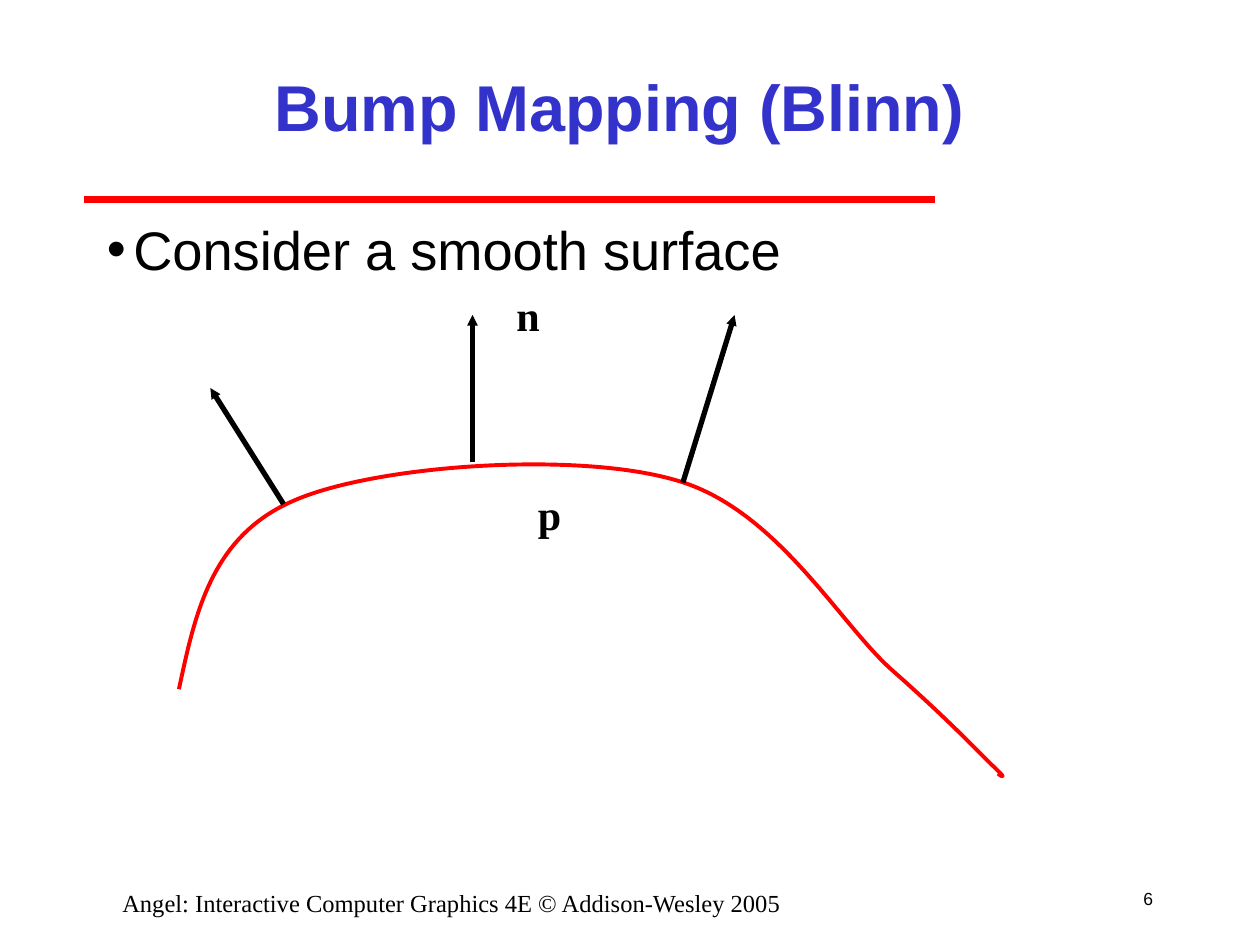
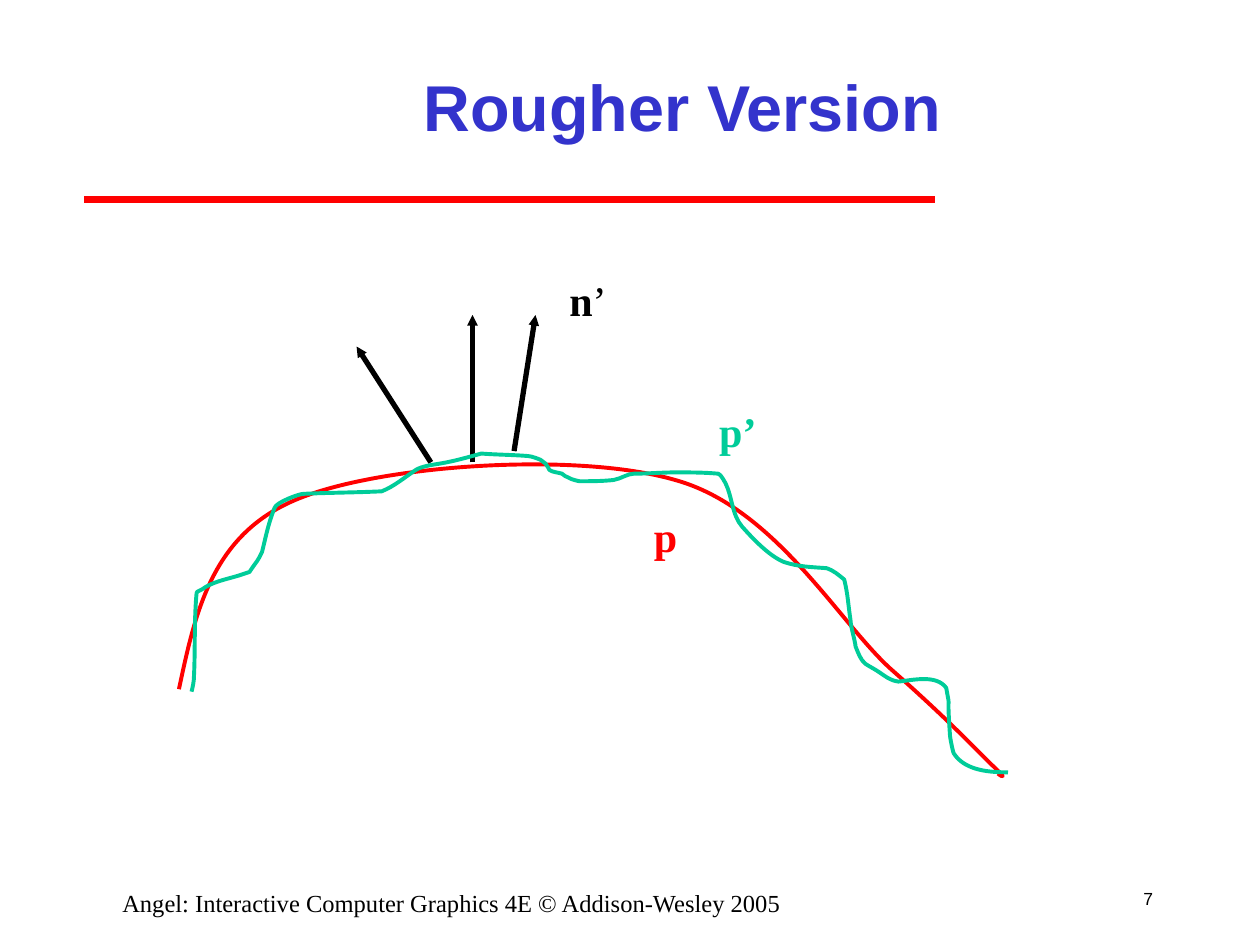
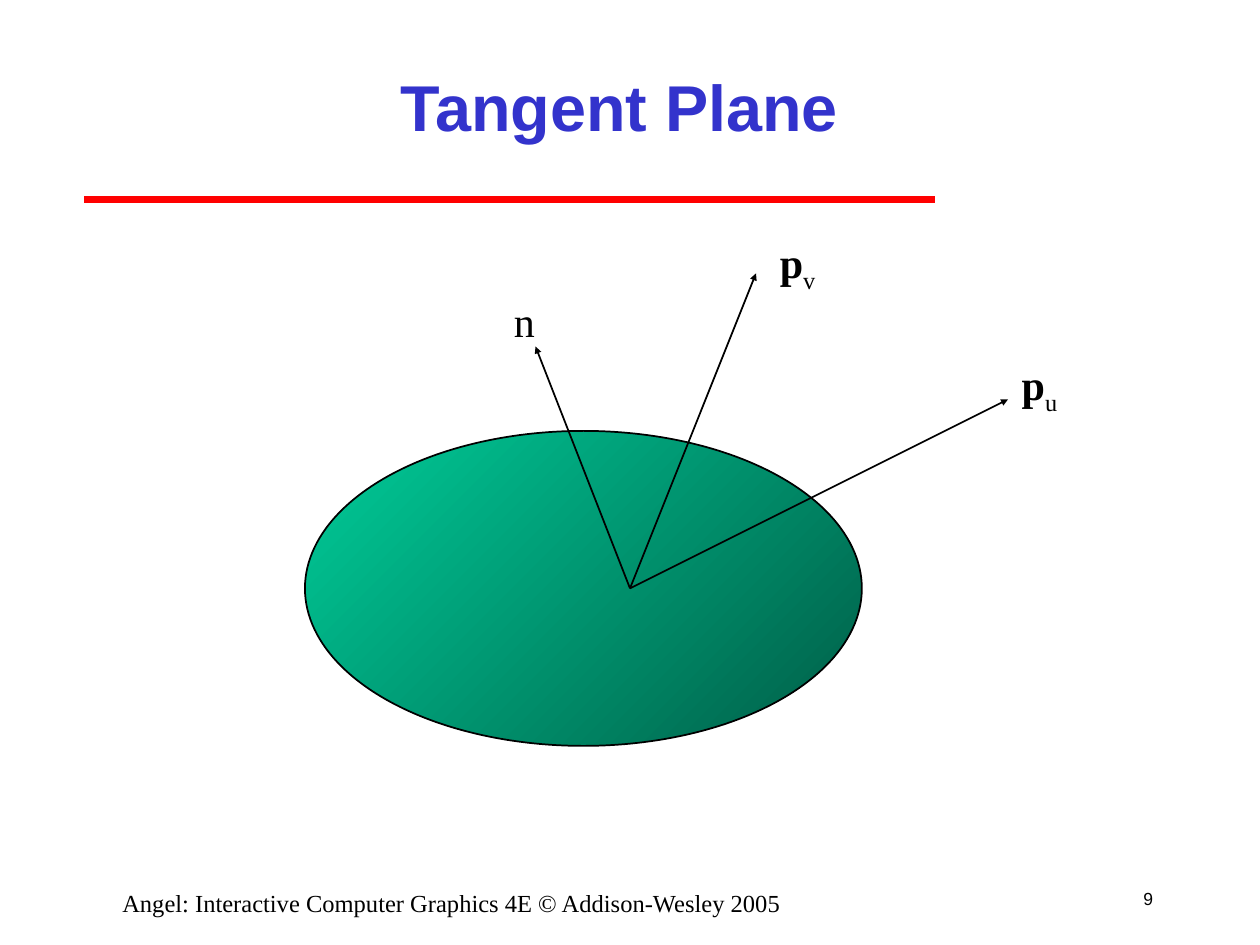
from dataclasses import dataclass

from lxml.etree import SubElement
from pptx import Presentation
from pptx.dml.color import RGBColor
from pptx.enum.shapes import MSO_CONNECTOR as Connector, MSO_SHAPE as Preset
from pptx.enum.text import MSO_ANCHOR as Anchor, MSO_AUTO_SIZE as AutoSize, PP_ALIGN as Align
from pptx.oxml.ns import qn
from pptx.util import Inches, Pt


@dataclass(frozen=True)
class Theme:
    black: str = "000000"
    blue: str = "3333CC"
    red: str = "FF0000"
    green: str = "00CC99"
    dark_green: str = "005E47"
    sans: str = "Arial"
    serif: str = "Times New Roman"
    title_size: float = 37
    body_size: float = 31
    label_size: float = 24
    footer_size: float = 14
    number_size: float = 10
    rule_width: float = 4
    normal_width: float = 3
    curve_width: float = 2.25
    thin_width: float = 1


THEME = Theme()
FOOTER = "Angel: Interactive Computer Graphics 4E © Addison-Wesley 2005"

# Curves: a start point, then three points (two controls, one end) per segment
SMOOTH_SURFACE = [
    (1.42, 5.47),
    (1.55, 4.86), (1.68, 4.25), (2.34, 3.97),
    (2.99, 3.69), (4.57, 3.58), (5.36, 3.81),
    (6.15, 4.03), (6.65, 4.93), (7.07, 5.31),
    (7.49, 5.68), (7.72, 5.92), (7.86, 6.06),
    (8, 6.19), (7.96, 6.17), (7.92, 6.14),
]
ROUGH_SURFACE = [
    (1.52, 5.49),
    (1.53, 5.45), (1.54, 5.41), (1.54, 5.36),
    (1.55, 5.15), (1.54, 4.93), (1.56, 4.71),
    (1.56, 4.69), (1.59, 4.69), (1.6, 4.68),
    (1.68, 4.62), (1.79, 4.6), (1.89, 4.57),
    (1.92, 4.56), (1.98, 4.54), (1.98, 4.54),
    (2.06, 4.42), (2.03, 4.48), (2.08, 4.38),
    (2.11, 4.26), (2.13, 4.15), (2.18, 4.03),
    (2.19, 3.99), (2.37, 3.92), (2.41, 3.92),
    (2.62, 3.91), (2.82, 3.91), (3.03, 3.9),
    (3.13, 3.86), (3.21, 3.79), (3.3, 3.73),
    (3.35, 3.7), (3.43, 3.69), (3.49, 3.68),
    (3.61, 3.66), (3.71, 3.63), (3.82, 3.6),
    (3.95, 3.61), (4.07, 3.61), (4.19, 3.62),
    (4.22, 3.62), (4.29, 3.65), (4.29, 3.65),
    (4.3, 3.66), (4.32, 3.67), (4.33, 3.68),
    (4.35, 3.7), (4.35, 3.72), (4.36, 3.73),
    (4.39, 3.75), (4.43, 3.75), (4.46, 3.76),
    (4.48, 3.77), (4.49, 3.79), (4.51, 3.79),
    (4.54, 3.81), (4.6, 3.82), (4.6, 3.82),
    (4.69, 3.82), (4.78, 3.82), (4.87, 3.81),
    (4.93, 3.8), (4.98, 3.76), (5.03, 3.76),
    (5.14, 3.76), (5.25, 3.75), (5.36, 3.75),
    (5.48, 3.75), (5.59, 3.75), (5.7, 3.76),
    (5.72, 3.76), (5.76, 3.84), (5.76, 3.84),
    (5.81, 3.94), (5.81, 4.09), (5.89, 4.18),
    (5.97, 4.27), (6.1, 4.41), (6.22, 4.46),
    (6.34, 4.5), (6.43, 4.5), (6.56, 4.51),
    (6.62, 4.53), (6.65, 4.56), (6.7, 4.6),
    (6.73, 4.72), (6.73, 4.79), (6.75, 4.92),
    (6.75, 4.97), (6.79, 5.1), (6.79, 5.13),
    (6.81, 5.18), (6.83, 5.24), (6.87, 5.27),
    (6.9, 5.29), (6.94, 5.31), (6.97, 5.33),
    (7.03, 5.37), (7.06, 5.4), (7.13, 5.41),
    (7.24, 5.4), (7.43, 5.35), (7.51, 5.46),
    (7.55, 5.69), (7.51, 5.41), (7.54, 5.84),
    (7.54, 5.85), (7.56, 5.96), (7.57, 5.98),
    (7.66, 6.12), (7.86, 6.13), (8, 6.13),
]


def rgb(color):
    return RGBColor.from_string(color)


# Text
def add_span(para, text, *, size, font, color=THEME.black, bold=False, baseline=None):
    span = para.add_run()
    span.text = text
    span.font.size = Pt(size)
    span.font.name = font
    span.font.bold = bold
    span.font.color.rgb = rgb(color)
    if baseline is not None:
        span.font._element.set("baseline", str(baseline * 1000))


def add_text(page, text, place, *, align=Align.LEFT, anchor=Anchor.TOP, wrap=True,
             indent=0, bullet=None, **style):
    box = page.shapes.add_textbox(*map(Inches, place))
    frame = box.text_frame
    frame.word_wrap = wrap
    frame.auto_size = AutoSize.NONE if wrap else AutoSize.SHAPE_TO_FIT_TEXT
    frame.vertical_anchor = anchor
    para = frame.paragraphs[0]
    para.alignment = align
    if indent:
        para._p.get_or_add_pPr().set("marL", str(Inches(indent)))
    if bullet:
        properties = para._p.get_or_add_pPr()
        properties.set("indent", str(-Inches(indent)))
        SubElement(properties, qn("a:buFont"), typeface=THEME.sans)
        SubElement(properties, qn("a:buChar"), char=bullet)
    add_span(para, text, **style)
    return para


def add_label(page, text, place, *, suffix="", baseline=None, bold=True, color=THEME.black):
    style = dict(size=THEME.label_size, font=THEME.serif, color=color)
    para = add_text(page, text, place, wrap=False, bold=bold, **style)
    if suffix:
        add_span(para, suffix, baseline=baseline, **style)


# Lines and shapes
def add_line(page, start, end, *, color=THEME.black, width=THEME.normal_width, arrow=False):
    line = page.shapes.add_connector(Connector.STRAIGHT, *map(Inches, (*start, *end)))
    line.line.color.rgb = rgb(color)
    line.line.width = Pt(width)
    if arrow:
        SubElement(line.line._get_or_add_ln(), qn("a:tailEnd"),
                   type="triangle", w="sm", len="sm")
    SubElement(line._element.spPr, qn("a:effectLst"))


def add_arrows(page, arrows, **style):
    for start, end in arrows:
        add_line(page, start, end, arrow=True, **style)


def add_curve(page, points, color):
    start, *others = [(Inches(x), Inches(y)) for x, y in points]
    builder = page.shapes.build_freeform(*start)
    builder.add_line_segments(others, close=False)
    curve = builder.convert_to_shape()
    # Merge each three straight steps into one cubic segment
    outline = next(curve._element.iter(qn("a:path")))
    steps = outline.findall(qn("a:lnTo"))
    for first in range(0, len(steps), 3):
        segment = SubElement(outline, qn("a:cubicBezTo"))
        for step in steps[first:first + 3]:
            segment.append(step[0])
            outline.remove(step)
    curve.fill.background()
    curve.line.color.rgb = rgb(color)
    curve.line.width = Pt(THEME.curve_width)
    curve.shadow.inherit = False


def add_plane(page, place):
    plane = page.shapes.add_shape(Preset.OVAL, *map(Inches, place))
    plane.shadow.inherit = False
    plane.fill.gradient()
    plane.fill.gradient_angle = 315
    for stop, color in zip(plane.fill.gradient_stops, (THEME.green, THEME.dark_green)):
        stop.color.rgb = rgb(color)
    plane.line.color.rgb = rgb(THEME.black)
    plane.line.width = Pt(THEME.thin_width)


# Parts shared by all slides
def add_page(deck, title, number, title_indent=0):
    page = deck.slides.add_slide(deck.slide_layouts[6])
    add_line(page, (0.67, 1.58), (7.42, 1.58), color=THEME.red, width=THEME.rule_width)
    add_text(page, str(number), (8.83, 6.92, 0.42, 0.42), align=Align.RIGHT,
             anchor=Anchor.MIDDLE, size=THEME.number_size, font=THEME.sans)
    add_text(page, FOOTER, (0.5, 7, 6.17, 0.25), align=Align.CENTER,
             size=THEME.footer_size, font=THEME.serif)
    add_text(page, title, (1.5, 0.25, 6.83, 1.17), align=Align.CENTER,
             anchor=Anchor.MIDDLE, indent=title_indent, size=THEME.title_size,
             font=THEME.sans, color=THEME.blue, bold=True)
    return page


# Slides
def add_bump_mapping(deck):
    page = add_page(deck, "Bump Mapping (Blinn)", 6)
    add_text(page, "Consider a smooth surface", (0.75, 1.67, 8.5, 5.17), indent=0.21,
             bullet="•", size=THEME.body_size, font=THEME.sans)
    add_curve(page, SMOOTH_SURFACE, THEME.red)
    add_arrows(page, [((2.25, 4), (1.67, 3.08)),
                      ((5.42, 3.83), (5.83, 2.5)),
                      ((3.75, 3.67), (3.75, 2.5))])
    add_label(page, "n", (4, 2.25, 0.38, 0.5))
    add_label(page, "p", (4.17, 3.83, 0.38, 0.5))


def add_rougher_version(deck):
    page = add_page(deck, "Rougher Version", 7, title_indent=1)
    add_curve(page, SMOOTH_SURFACE, THEME.red)
    add_arrows(page, [((3.42, 3.67), (2.83, 2.75)),
                      ((4.08, 3.58), (4.25, 2.5)),
                      ((3.75, 3.67), (3.75, 2.5))])
    add_curve(page, ROUGH_SURFACE, THEME.green)
    add_label(page, "n", (4.42, 2.13, 0.52, 0.5), suffix="’")
    add_label(page, "p", (5.09, 4, 0.38, 0.5), color=THEME.red)
    add_label(page, "p’", (5.61, 3.17, 0.52, 0.5), color=THEME.green)


def add_tangent_plane(deck):
    page = add_page(deck, "Tangent Plane", 9)
    add_plane(page, (2.42, 3.42, 4.42, 2.5))
    origin = (5, 4.67)
    tips = [(8, 3.17), (6, 2.17), (4.25, 2.75)]
    add_arrows(page, [(origin, tip) for tip in tips], width=THEME.thin_width)
    add_label(page, "p", (8.01, 2.8, 0.48, 0.56), suffix="u", baseline=-25)
    add_label(page, "p", (6.09, 1.83, 0.48, 0.56), suffix="v", baseline=-25)
    add_label(page, "n", (3.98, 2.3, 0.36, 0.5), bold=False)


def main():
    deck = Presentation()
    deck.slide_width = Inches(10)
    deck.slide_height = Inches(7.5)
    add_bump_mapping(deck)
    add_rougher_version(deck)
    add_tangent_plane(deck)
    deck.save("out.pptx")


if __name__ == "__main__":
    main()
